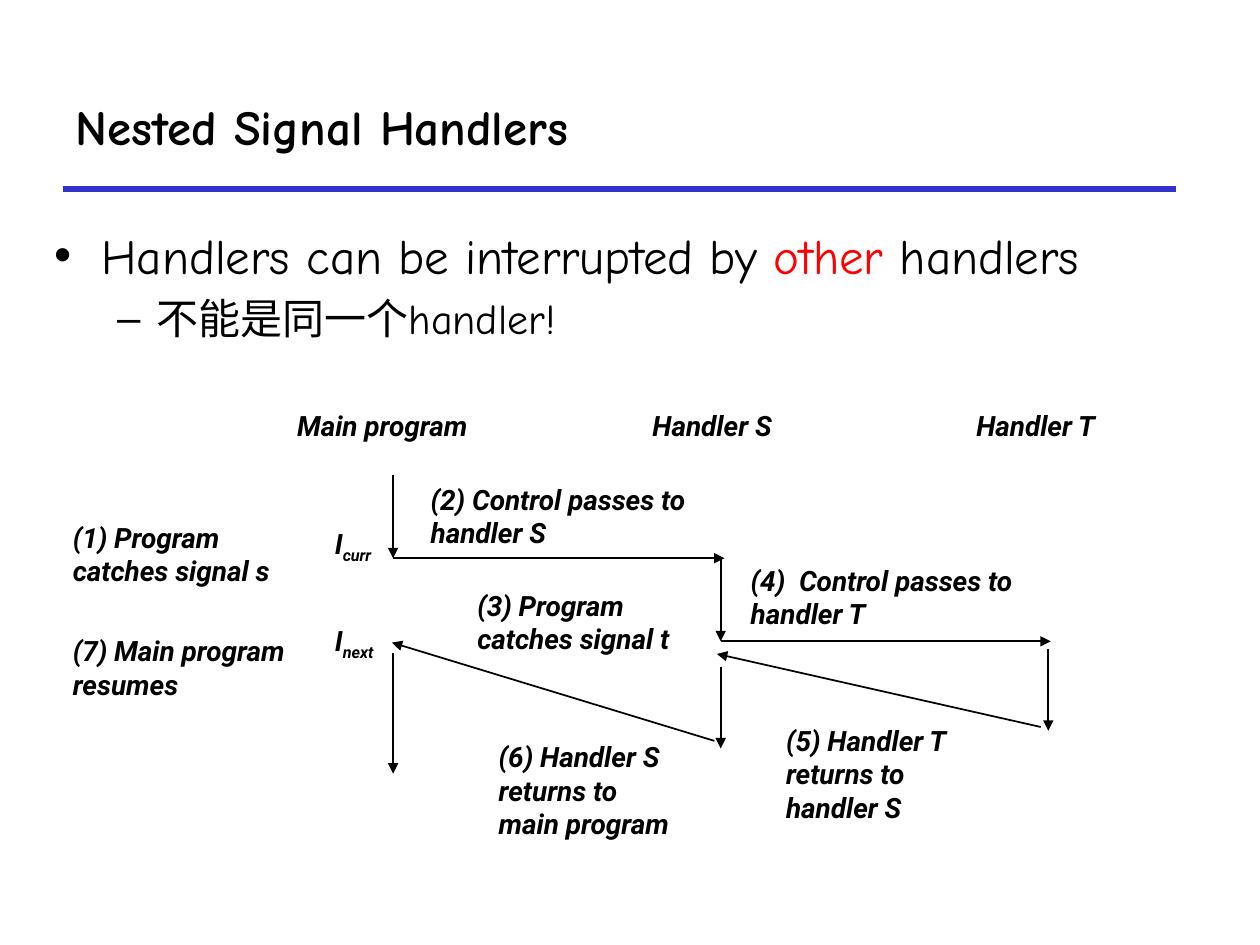
from pptx import Presentation
from pptx.dml.color import RGBColor
from pptx.enum import shapes, text
from pptx.oxml.ns import qn
from pptx.util import Inches, Pt
from lxml import etree

BLACK = RGBColor(0x00, 0x00, 0x00)
BLUE = RGBColor(0x33, 0x33, 0xCC)
RED = RGBColor(0xFF, 0x00, 0x00)


def add_line(start, end, color=BLACK, width=1, arrow=True):
    line = slide.shapes.add_connector(
        shapes.MSO_CONNECTOR.STRAIGHT, *(Inches(v) for v in start + end))
    line.line.color.rgb = color
    line.line.width = Pt(width)
    if arrow:
        etree.SubElement(line.line._get_or_add_ln(), qn("a:tailEnd"), type="triangle")
    etree.SubElement(line._element.spPr, qn("a:effectLst"))


def add_label(left, top, width, height, lines, wrap=True):
    """Add a bold italic label and return its text frame."""
    box = slide.shapes.add_textbox(*(Inches(v) for v in (left, top, width, height)))
    frame = box.text_frame
    frame.word_wrap = wrap
    frame.text = lines
    for paragraph in frame.paragraphs:
        font = paragraph.font
        font.name, font.size, font.color.rgb = "Roboto", Pt(16), BLACK
        font.bold = font.italic = True
    return frame


prs = Presentation()
prs.slide_width, prs.slide_height = Inches(10), Inches(7.5)
slide = prs.slides.add_slide(prs.slide_layouts[1])

# Heading
title = slide.shapes.title
title.left, title.top, title.width, title.height = (
    Inches(v) for v in (0.5, 0.5, 8.83, 1))
title.text_frame.text = "Nested Signal Handlers"
title.text_frame.auto_size = text.MSO_AUTO_SIZE.NONE
title.text_frame.vertical_anchor = text.MSO_ANCHOR.MIDDLE
heading = title.text_frame.paragraphs[0]
heading.alignment = text.PP_ALIGN.LEFT
heading.font.name, heading.font.size = "Comic Neue", Pt(28)
heading.font.bold, heading.font.color.rgb = True, BLACK
add_line((0.5, 1.5), (9.33, 1.5), BLUE, 3, arrow=False)

# Bullets
body = slide.placeholders[1]
body.left, body.top, body.width, body.height = (
    Inches(v) for v in (0.33, 1.74, 9.53, 0.68))
body.text_frame.auto_size = text.MSO_AUTO_SIZE.NONE
point = body.text_frame.paragraphs[0]
point.space_before = Pt(0)
for words, color in (("Handlers can be interrupted by ", BLACK),
                     ("other", RED), (" handlers", BLACK)):
    run = point.add_run()
    run.text = words
    run.font.color.rgb = color
subpoint = body.text_frame.add_paragraph()
subpoint.level = 1
subpoint.text = "不能是同一个handler!"
subpoint.font.color.rgb = BLACK
for paragraph, size in ((point, 28), (subpoint, 24)):
    paragraph.font.name, paragraph.font.size = "Comic Neue", Pt(size)

# Column headings
for left, width, name in ((2.26, 1.8, "Main program"),
                          (5.08, 1.4, "Handler S"), (7.65, 1.4, "Handler T")):
    add_label(left, 3.19, width, 0.37, name)

# Control flow, in order of execution
MAIN, HANDLER_S, HANDLER_T = 3.12, 5.72, 8.32
for start, end in (
        ((MAIN, 3.77), (MAIN, 4.43)),
        ((MAIN, 4.43), (5.75, 4.43)),
        ((HANDLER_S, 4.44), (HANDLER_S, 5.09)),
        ((HANDLER_S, 5.09), (8.34, 5.09)),
        ((HANDLER_T, 5.15), (HANDLER_T, 5.8)),
        ((8.26, 5.77), (5.69, 5.19)),
        ((HANDLER_S, 5.29), (HANDLER_S, 5.94)),
        ((5.67, 5.88), (3.11, 5.1)),
        ((MAIN, 5.18), (MAIN, 6.14))):
    add_line(start, end)

# Numbered steps
for left, top, width, height, step in (
        (0.48, 4.08, 2.1, 0.64, "(1) Program catches signal s"),
        (3.32, 3.78, 2.24, 0.64, "(2) Control passes to handler S"),
        (3.69, 4.62, 2.03, 0.64, "(3) Program catches signal t"),
        (5.86, 4.42, 2.31, 0.64, "(4)  Control passes to handler T"),
        (6.14, 5.69, 1.62, 0.91, "(5) Handler T\nreturns to handler S"),
        (3.86, 5.82, 1.62, 0.91, "(6) Handler S\nreturns to main program"),
        (0.48, 4.98, 2.1, 0.64, "(7) Main program resumes")):
    add_label(left, top, width, height, step)

# Instructions around the interruption
for top, subscript in ((4.13, "curr"), (4.9, "next")):
    instruction = add_label(2.56, top, 0.6, 0.37, "I", wrap=False)
    run = instruction.paragraphs[0].add_run()
    run.text = subscript
    run.font._element.set("baseline", "-25000")

prs.save("out.pptx")
